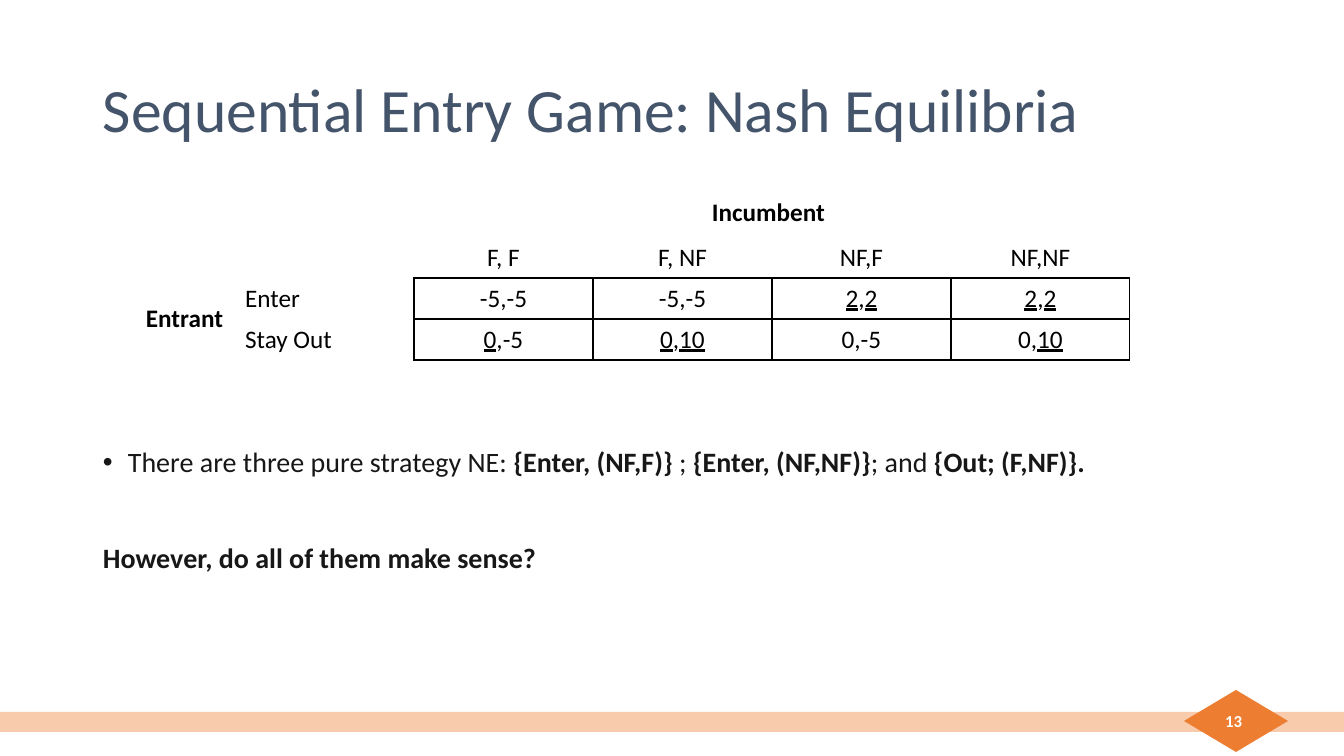
from lxml import etree
from pptx import Presentation
from pptx.dml.color import RGBColor
from pptx.enum.shapes import MSO_SHAPE
from pptx.enum.text import MSO_ANCHOR, PP_ALIGN
from pptx.oxml.ns import qn
from pptx.util import Pt

COLORS = {
    "title": "44546A", "body": "181717", "black": "000000",
    "white": "FFFFFF", "band": "F8CBAD", "diamond": "ED7D31",
}
FONT = "Calibri"
SLIDE = (1344, 756)

TITLE = "Sequential Entry Game: Nash Equilibria"
EQUILIBRIA = [
    ("There are three pure strategy NE: ", False),
    ("{Enter, (NF,F)}", True),
    (" ; ", False),
    ("{Enter, (NF,NF)}", True),
    ("; and ", False),
    ("{Out; (F,NF)}.", True),
]
QUESTION = [("However, do all of them make sense?", True)]

PAYOFFS = [
    ["", "F, F", "F, NF", "NF,F", "NF,NF"],
    ["Enter", "-5,-5", "-5,-5", "_2_,_2_", "_2_,_2_"],
    ["Stay Out", "_0_,-5", "_0_,_10_", "0,-5", "0,_10_"],
]
TABLE_LEFT, TABLE_TOP, COLUMN, ROW = 235, 237, 179, 41

DECORATIONS = [
    (MSO_SHAPE.RECTANGLE, (0, 712, 1344, 20), "band"),
    (MSO_SHAPE.DIAMOND, (1184, 690, 104, 62), "diamond"),
]
LABELS = [
    ("Incumbent", (702, 191, 134, 40), False, {"size": 18, "color": "black", "bold": True}, {}),
    ("Entrant", (136, 297, 98, 40), False, {"size": 18, "color": "black", "bold": True}, {}),
    ("13", (950, 701, 302, 40), True, {"size": 12, "color": "white", "bold": True},
     {"alignment": PP_ALIGN.RIGHT}),
    (TITLE, (93, 40, 1159, 146), True, {"size": 44, "color": "title"}, {"line_spacing": 0.9}),
]
BODY_BOX = (93, 440, 1143, 146)


def px(length):
    return round(length * 914400 / 100.8)


def apply(target, values):
    for name, value in values.items():
        setattr(target, name, value)


def add_span(para, text, size, color, **values):
    span = para.add_run()
    span.text = text
    apply(span.font, {"name": FONT, "size": Pt(size), **values})
    span.font.color.rgb = RGBColor.from_string(COLORS[color])


def add_box(page, place, wrap, anchor):
    box = page.shapes.add_textbox(*map(px, place))
    apply(box.text_frame, {"word_wrap": wrap, "vertical_anchor": anchor})
    return box.text_frame


def add_bullet(para):
    properties = para._p.get_or_add_pPr()
    properties.set("marL", str(px(25)))
    properties.set("indent", str(px(-25)))
    etree.SubElement(properties, qn("a:buFont"), typeface="Arial")
    etree.SubElement(properties, qn("a:buChar"), char="•")


def add_borders(cell, sides):
    properties = cell._tc.get_or_add_tcPr()
    for side, drawn in sides.items():
        line = etree.SubElement(properties, qn(f"a:ln{side}"), w=str(Pt(1)))
        if drawn:
            fill = etree.SubElement(line, qn("a:solidFill"))
            etree.SubElement(fill, qn("a:srgbClr"), val=COLORS["black"])
        else:
            etree.SubElement(line, qn("a:noFill"))


def add_payoff_table(page):
    rows, columns = len(PAYOFFS), len(PAYOFFS[0])
    place = (TABLE_LEFT, TABLE_TOP, COLUMN * columns, ROW * rows)
    table = page.shapes.add_table(rows, columns, *map(px, place)).table
    apply(table, {"first_row": False, "horz_banding": False})
    for column in table.columns:
        column.width = px(COLUMN)
    for r, row in enumerate(PAYOFFS):
        table.rows[r].height = px(ROW)
        for c, text in enumerate(row):
            cell = table.cell(r, c)
            inside = r > 0 and c > 0
            add_borders(cell, {"L": inside, "R": r > 0, "T": inside, "B": c > 0})
            cell.fill.background()
            para = cell.text_frame.paragraphs[0]
            para.alignment = PP_ALIGN.CENTER if c else PP_ALIGN.LEFT
            for part, piece in enumerate(text.split("_")):
                if piece:
                    add_span(para, piece, 18, "black", bold=False, underline=part % 2 == 1)


def add_body(page):
    frame = add_box(page, BODY_BOX, True, MSO_ANCHOR.TOP)
    first = frame.paragraphs[0]
    add_bullet(first)
    second = frame.add_paragraph()
    second.space_before = Pt(44)
    for para, spans in ((first, EQUILIBRIA), (second, QUESTION)):
        for text, bold in spans:
            add_span(para, text, 20, "body", bold=bold)


def main():
    deck = Presentation()
    apply(deck, dict(zip(("slide_width", "slide_height"), map(px, SLIDE))))
    page = deck.slides.add_slide(deck.slide_layouts[6])

    for kind, place, color in DECORATIONS:
        shape = page.shapes.add_shape(kind, *map(px, place))
        shape.shadow.inherit = False
        shape.fill.solid()
        shape.fill.fore_color.rgb = RGBColor.from_string(COLORS[color])
        shape.line.fill.background()

    for text, place, wrap, font, layout in LABELS:
        para = add_box(page, place, wrap, MSO_ANCHOR.MIDDLE).paragraphs[0]
        apply(para, layout)
        add_span(para, text, **font)

    add_payoff_table(page)
    add_body(page)
    deck.save("out.pptx")


if __name__ == "__main__":
    main()
